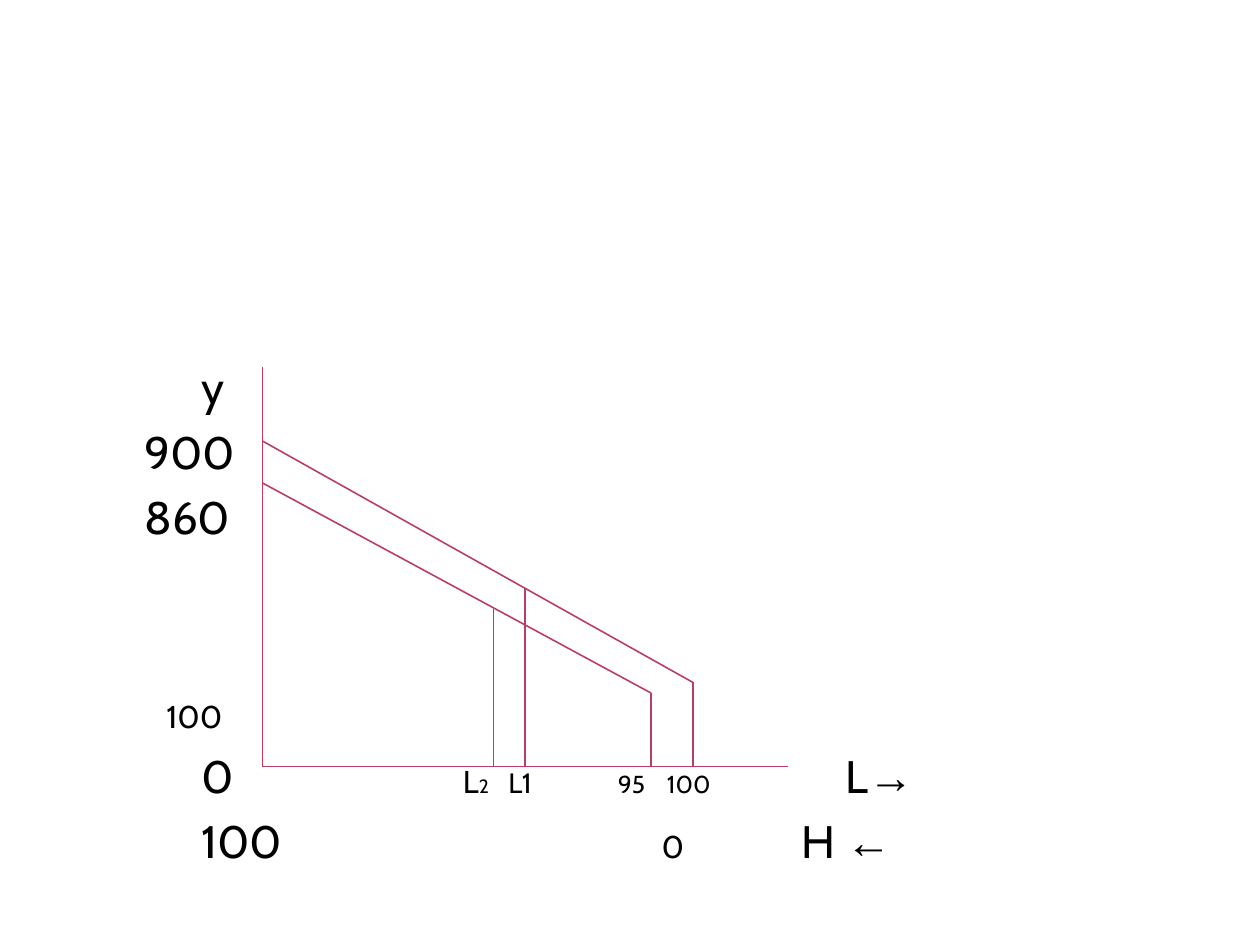
from dataclasses import dataclass

from lxml.etree import SubElement
from pptx import Presentation
from pptx.dml.color import RGBColor
from pptx.enum.shapes import MSO_CONNECTOR
from pptx.enum.text import MSO_ANCHOR
from pptx.oxml.ns import qn
from pptx.util import Pt


@dataclass(frozen=True)
class Theme:
    """Colours, fonts and type sizes of the slide."""
    ink: RGBColor = RGBColor(0, 0, 0)
    rose: RGBColor = RGBColor(0xB8, 0x3D, 0x68)
    face: str = "Cabin"
    arrow: str = "Arial"
    stroke: float = 0.91
    big: int = 26
    mid: int = 18
    note: int = 16
    tick: int = 14
    sub: int = 11


LOOK = Theme()

ROWS = [
    (0, [72], [("\ty", LOOK.big)]),
    (6, [39.5], [("\t900", LOOK.big)]),
    (6, [39.5], [("\t860", LOOK.big)]),
    (87.5, [52], [("\t100", LOOK.mid)]),
    (7.5, [72, 221.5, 247.5, 310, 338, 440],
     [("\t0", LOOK.big), ("\tL", LOOK.mid), ("2", LOOK.sub),
      ("\tL1", LOOK.note), ("\t95\t100", LOOK.tick),
      ("\tL", LOOK.big), ("→", LOOK.big)]),
    (6, [72, 335, 415],
     [("\t100", LOOK.big), ("\t0", LOOK.mid),
      ("\tH ", LOOK.big), ("←", LOOK.big)]),
]


def set_tabs(para, stops):
    """Give a paragraph its left tab stops, in points."""
    tabs = SubElement(para._p.get_or_add_pPr(), qn("a:tabLst"))
    for stop in stops:
        SubElement(tabs, qn("a:tab"), pos=str(Pt(stop)), algn="l")


def add_labels(slide, left, top, width, height):
    """Write the axis labels in one box with a tab stop for each column."""
    box = slide.shapes.add_textbox(Pt(left), Pt(top), Pt(width), Pt(height))
    frame = box.text_frame
    frame.word_wrap = True
    frame.vertical_anchor = MSO_ANCHOR.TOP
    frame.margin_top = Pt(78.5)
    for index, (gap, stops, parts) in enumerate(ROWS):
        para = frame.add_paragraph() if index else frame.paragraphs[0]
        para.space_before = Pt(gap)
        set_tabs(para, stops)
        for text, size in parts:
            run = para.add_run()
            run.text = text
            run.font.size = Pt(size)
            run.font.name = LOOK.arrow if text in "→←" else LOOK.face
            run.font.color.rgb = LOOK.ink


def add_line(slide, start, end):
    """Draw one thin line between two points."""
    line = slide.shapes.add_connector(
        MSO_CONNECTOR.STRAIGHT, *map(Pt, start + end))
    line.line.color.rgb = LOOK.rose
    line.line.width = Pt(LOOK.stroke)
    SubElement(line._element.spPr, qn("a:effectLst"))


def add_graph(slide, left, top, width, height):
    """Draw both axes, the two sloping lines and their drops."""
    base = top + height
    add_line(slide, (left, top), (left, base))
    add_line(slide, (left + width, base), (left, base))
    slopes = [(42, 246, 180), (66, 222, 186)]
    for rise, run, fall in slopes:
        add_line(slide, (left, top + rise), (left + run, top + fall))
    drops = [(246, 180), (222, 186), (150, 126), (132, 138)]
    for across, down in drops:
        add_line(slide, (left + across, top + down), (left + across, base))


def main():
    """Build the slide and save it."""
    deck = Presentation()
    deck.slide_width, deck.slide_height = Pt(720), Pt(540)
    slide = deck.slides.add_slide(deck.slide_layouts[6])
    add_labels(slide, 36, 126.7, 570, 381.6)
    add_graph(slide, 150, 210, 300, 228)
    deck.save("out.pptx")


if __name__ == "__main__":
    main()
